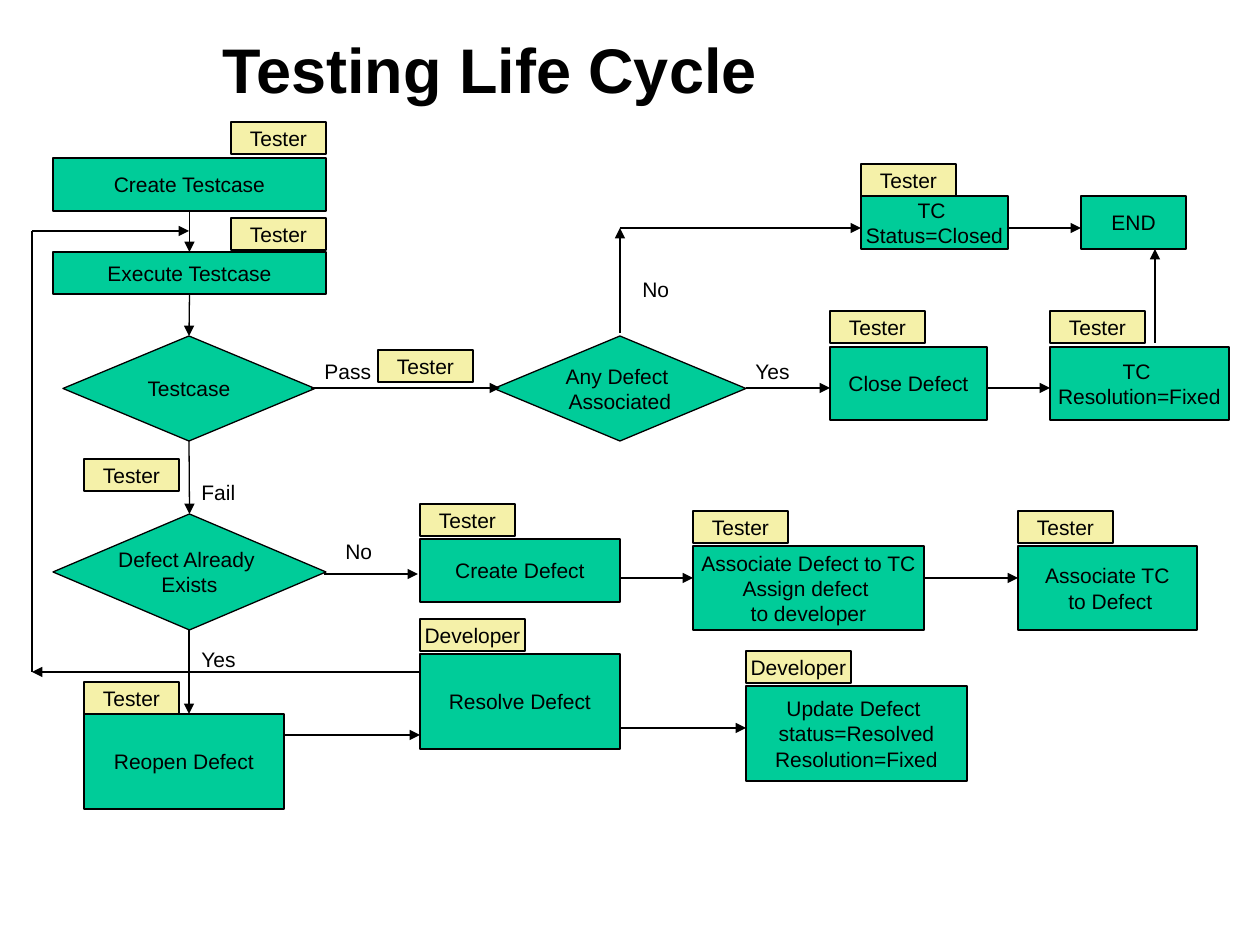
from dataclasses import dataclass

from lxml import etree
from pptx import Presentation
from pptx import util as u
from pptx.dml.color import RGBColor
from pptx.enum import shapes, text
from pptx.oxml import ns


@dataclass(frozen=True)
class Theme:
    font: str = "Arial"
    ink: str = "000000"
    step: str = "00CC99"
    role: str = "F5F1A9"
    title_size: int = 36
    body_size: int = 12
    line_width: float = 0.75


THEME = Theme()
PX = u.Inches(1) / 126
TITLE = ("Testing Life Cycle", (210, 21, 1029, 95))

# Steps and decisions: key -> (lines, (left, top, width, height))
STEPS = {
    "create": (["Create Testcase"], (53, 158, 273, 53)),
    "execute": (["Execute Testcase"], (53, 252, 273, 42)),
    "testcase": (["Testcase"], (63, 336, 252, 105)),
    "exists": (["Defect Already ", "Exists"], (53, 514, 273, 116)),
    "new defect": (["Create Defect"], (420, 539, 200, 63)),
    "reopen": (["Reopen Defect"], (84, 714, 200, 95)),
    "resolve": (["Resolve Defect"], (420, 654, 200, 95)),
    "any defect": (["Any Defect ", "Associated"], (494, 336, 252, 105)),
    "close": (["Close Defect"], (830, 347, 157, 73)),
    "fixed": (["TC ", "Resolution=Fixed"], (1050, 347, 179, 73)),
    "closed": (["TC ", "Status=Closed"], (861, 196, 147, 53)),
    "end": (["END"], (1081, 196, 105, 53)),
    "link defect": (["Associate TC", " to Defect"], (1018, 546, 179, 84)),
    "assign": (["Associate Defect to TC", "Assign defect ", "to developer"],
               (693, 546, 231, 84)),
    "update": (["Update Defect ", "status=Resolved", "Resolution=Fixed"],
               (746, 686, 221, 95)),
}
DECISIONS = {"testcase", "exists", "any defect"}

# Arrows from the bottom centre of one step to the top centre of the next
DOWN_FLOWS = [("create", "execute"), ("execute", "testcase"), ("testcase", "exists")]
# Arrows from right edge to left edge, at a given height
RIGHT_FLOWS = [
    ("any defect", "close", 388), ("close", "fixed", 388), ("closed", "end", 228),
    ("new defect", "assign", 578), ("assign", "link defect", 578),
    ("resolve", "update", 728), ("reopen", "resolve", 735),
]
# Other lines: (start, end, has arrowhead)
FREE_FLOWS = [
    ((311, 388), (500, 388), True), ((324, 574), (418, 574), True),
    ((620, 333), (620, 228), True), ((620, 228), (861, 228), True),
    ((1155, 343), (1155, 249), True), ((189, 630), (189, 714), True),
    ((32, 231), (32, 672), False), ((32, 231), (189, 231), True),
    ((420, 672), (32, 672), True),
]
BRANCHES = [("Pass", 312, 352, 72), ("Fail", 189, 473, 59), ("No", 333, 532, 52),
            ("Yes", 189, 640, 60), ("Yes", 743, 352, 60), ("No", 630, 270, 52)]

# Role tags above steps: (step, role, gap, edge they align with)
ROLES = [
    ("create", "Tester", 4, "right"), ("execute", "Tester", 2, "right"),
    ("reopen", "Tester", 0, "left"), ("resolve", "Developer", 3, "left"),
    ("new defect", "Tester", 3, "left"), ("update", "Developer", 3, "left"),
    ("assign", "Tester", 3, "left"), ("link defect", "Tester", 3, "left"),
    ("close", "Tester", 4, "left"), ("fixed", "Tester", 4, "left"),
    ("closed", "Tester", 0, "left"),
]
BRANCH_ROLES = [("Tester", 378, 350), ("Tester", 84, 459)]
ROLE_WIDTH = {"Tester": 95, "Developer": 105}
ROLE_HEIGHT = 32
BRANCH_HEIGHT = 38


def px(*values):
    return [u.Emu(round(value * PX)) for value in values]


def write(box, lines, *, size=THEME.body_size, bold=False, wrap=False,
          align=text.PP_ALIGN.LEFT, anchor=text.MSO_ANCHOR.MIDDLE):
    frame = box.text_frame
    frame.word_wrap = wrap
    frame.auto_size = text.MSO_AUTO_SIZE.NONE
    frame.vertical_anchor = anchor
    for index, line in enumerate(lines):
        para = frame.add_paragraph() if index else frame.paragraphs[0]
        para.alignment = align
        span = para.add_run()
        span.text = line
        span.font.name, span.font.size, span.font.bold = THEME.font, u.Pt(size), bold
        span.font.color.rgb = RGBColor.from_string(THEME.ink)


def outline(part):
    part.line.color.rgb = RGBColor.from_string(THEME.ink)
    part.line.width = u.Pt(THEME.line_width)


def add_box(page, lines, place, fill, kind=shapes.MSO_SHAPE.RECTANGLE):
    box = page.shapes.add_shape(kind, *px(*place))
    box.shadow.inherit = False
    box.fill.solid()
    box.fill.fore_color.rgb = RGBColor.from_string(fill)
    outline(box)
    write(box, lines, align=text.PP_ALIGN.CENTER)
    return box


def add_flow(page, start, end, arrow=True):
    flow = page.shapes.add_connector(shapes.MSO_CONNECTOR.STRAIGHT, *px(*start, *end))
    outline(flow)
    if arrow:
        etree.SubElement(flow.line._get_or_add_ln(), ns.qn("a:tailEnd"), type="triangle")
    etree.SubElement(flow._element.spPr, ns.qn("a:effectLst"))
    return flow


def add_role(page, role, left, top):
    add_box(page, [role], (left, top, ROLE_WIDTH[role], ROLE_HEIGHT), THEME.role)


def main():
    deck = Presentation()
    deck.slide_width, deck.slide_height = u.Inches(10), u.Inches(7.5)
    page = deck.slides.add_slide(deck.slide_layouts[5])

    # Title
    heading, place = TITLE
    title = page.shapes.title
    title.left, title.top, title.width, title.height = px(*place)
    write(title, [heading], size=THEME.title_size, bold=True, wrap=True)

    # Steps and decisions
    boxes = {}
    for key, (lines, place) in STEPS.items():
        kind = (shapes.MSO_SHAPE.FLOWCHART_DECISION if key in DECISIONS
                else shapes.MSO_SHAPE.RECTANGLE)
        boxes[key] = add_box(page, lines, place, THEME.step, kind)

    # Arrows
    for source, target in DOWN_FLOWS:
        flow = add_flow(page, (0, 0), (0, 0))
        flow.begin_connect(boxes[source], 2)
        flow.end_connect(boxes[target], 0)
    for source, target, height in RIGHT_FLOWS:
        left, _, width, _ = STEPS[source][1]
        add_flow(page, (left + width, height), (STEPS[target][1][0], height))
    for start, end, arrow in FREE_FLOWS:
        add_flow(page, start, end, arrow)

    # Branch labels
    for label, left, top, width in BRANCHES:
        box = page.shapes.add_textbox(*px(left, top, width, BRANCH_HEIGHT))
        write(box, [label], anchor=text.MSO_ANCHOR.TOP)

    # Role tags
    for step, role, gap, edge in ROLES:
        left, top, width, _ = STEPS[step][1]
        if edge == "right":
            left += width - ROLE_WIDTH[role]
        add_role(page, role, left, top - gap - ROLE_HEIGHT)
    for role, left, top in BRANCH_ROLES:
        add_role(page, role, left, top)

    deck.save("out.pptx")


if __name__ == "__main__":
    main()
